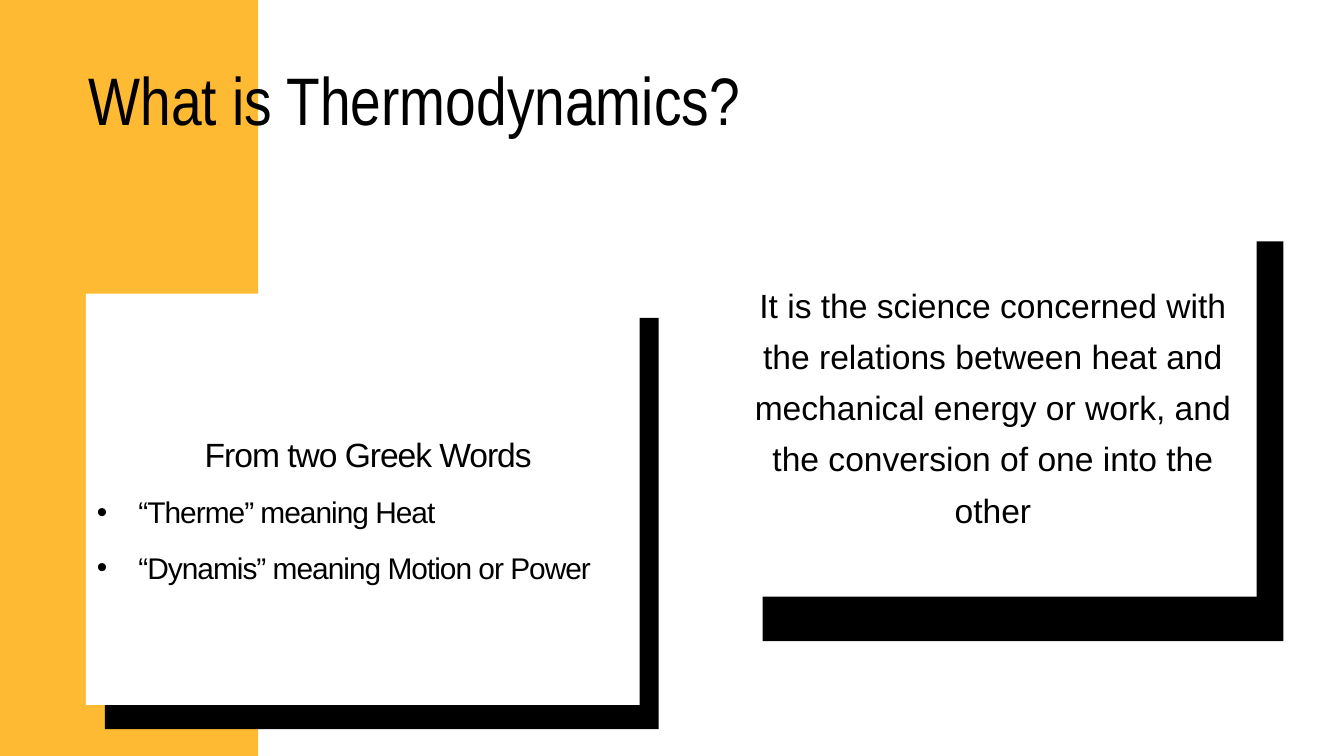
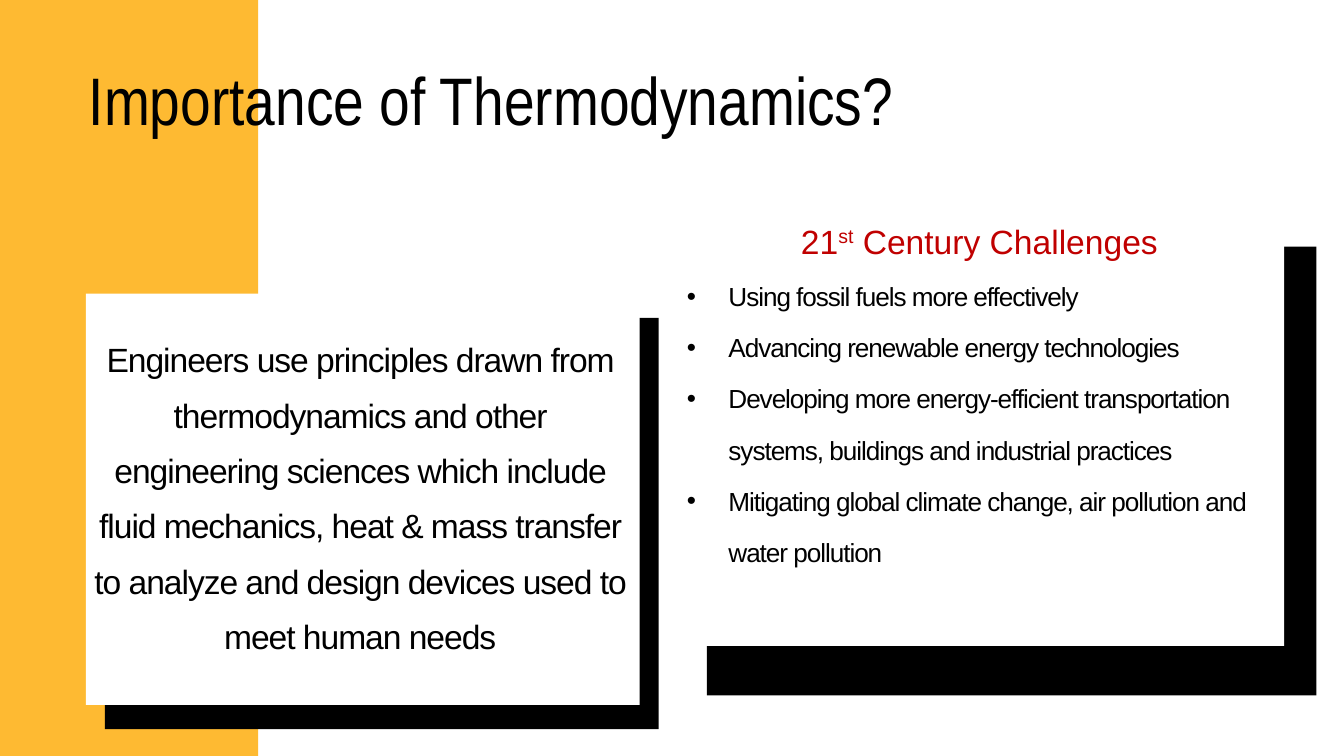
"""Builds two slides on thermodynamics: a title over a yellow band and two framed cards each."""
from lxml import etree
from pptx import Presentation
from pptx import util as u
from pptx.dml.color import RGBColor
from pptx.enum import shapes, text
from pptx.oxml import ns

PX = 9144
YELLOW = RGBColor(0xFE, 0xBA, 0x32)
BLACK = RGBColor(0, 0, 0)
WHITE = RGBColor(255, 255, 255)
RED = RGBColor(0xC0, 0, 0)
TIGHT = -110
INDENT = 62

LEFT_CARD = (128, 437, 824, 612)
LEFT_SHADOW = (28, 36)

SLIDES = [
    ("What is Thermodynamics?", [
        {"card": (1095, 293, 775, 595), "shadow": (40, 66),
         "text_box": (1105, 408, 745, 386), "line_spacing": 54.8,
         "paragraphs": [
             ("It is the science concerned with the relations between heat and mechanical "
              "energy or work, and the conversion of one into the other", 36, BLACK, 0, False)]},
        {"card": LEFT_CARD, "shadow": LEFT_SHADOW,
         "text_box": (144, 623, 808, 248), "line_spacing": 59.4,
         "paragraphs": [
             ("From two Greek Words", 36, BLACK, TIGHT, False),
             ("“Therme” meaning Heat", 32, BLACK, TIGHT, True),
             ("“Dynamis” meaning Motion or Power", 32, BLACK, TIGHT, True)]},
    ]),
    ("Importance of Thermodynamics?", [
        {"card": (1004, 293, 907, 668), "shadow": (48, 74),
         "text_box": (1022, 312, 871, 617), "line_spacing": 54.8,
         "paragraphs": [
             ("21^st^ Century Challenges", 36, RED, 0, False),
             ("Using fossil fuels more effectively", 28, BLACK, TIGHT, True),
             ("Advancing renewable energy technologies", 28, BLACK, TIGHT, True),
             ("Developing more energy-efficient transportation systems, buildings and "
              "industrial practices", 28, BLACK, TIGHT, True),
             ("Mitigating global climate change, air pollution and water pollution",
              28, BLACK, TIGHT, True)]},
        {"card": LEFT_CARD, "shadow": LEFT_SHADOW,
         "text_box": (132, 482, 808, 496), "line_spacing": 59.4,
         "paragraphs": [
             ("Engineers use principles drawn from thermodynamics and other engineering "
              "sciences which include fluid mechanics, heat & mass transfer to analyze and "
              "design devices used to meet human needs", 36, BLACK, TIGHT, False)]},
    ]),
]


def add_block(slide, left, top, width, height, color):
    block = slide.shapes.add_shape(
        shapes.MSO_SHAPE.RECTANGLE, left * PX, top * PX, width * PX, height * PX)
    block.shadow.inherit = False
    block.fill.solid()
    block.fill.fore_color.rgb = color
    block.line.fill.background()
    return block


def prepare_frame(shape):
    frame = shape.text_frame
    frame.margin_left = frame.margin_top = frame.margin_right = frame.margin_bottom = 0
    frame.word_wrap = True
    frame.vertical_anchor = text.MSO_ANCHOR.TOP
    frame.auto_size = text.MSO_AUTO_SIZE.SHAPE_TO_FIT_TEXT
    return frame


presentation = Presentation()
presentation.slide_width = 2000 * PX
presentation.slide_height = 1125 * PX

for heading, cards in SLIDES:
    slide = presentation.slides.add_slide(presentation.slide_layouts[5])
    title = slide.shapes.title
    title.left, title.top, title.width, title.height = (
        length * PX for length in (132, 31, 1658, 156))
    band = add_block(slide, 0, 0, 384, 1125, YELLOW)
    title._element.addprevious(band._element)

    frame = prepare_frame(title)
    frame.text = heading
    paragraph = frame.paragraphs[0]
    paragraph.alignment = text.PP_ALIGN.LEFT
    paragraph.line_spacing = u.Pt(126.3)
    paragraph.font.name = "Arial Narrow"
    paragraph.font.size = u.Pt(72)
    paragraph.font.color.rgb = BLACK

    for card in cards:
        left, top, width, height = card["card"]
        shift_x, shift_y = card["shadow"]
        add_block(slide, left + shift_x, top + shift_y, width, height, BLACK)
        add_block(slide, left, top, width, height, WHITE)

        text_box = slide.shapes.add_textbox(*(length * PX for length in card["text_box"]))
        frame = prepare_frame(text_box)
        for index, (words, size, color, tracking, bulleted) in enumerate(card["paragraphs"]):
            paragraph = frame.add_paragraph() if index else frame.paragraphs[0]
            paragraph.line_spacing = u.Pt(card["line_spacing"])
            properties = paragraph._p.get_or_add_pPr()
            if bulleted:
                paragraph.alignment = text.PP_ALIGN.LEFT
                properties.set("marL", str(INDENT * PX))
                properties.set("indent", str(-INDENT * PX))
                etree.SubElement(properties, ns.qn("a:buFont"), typeface="Arial")
                etree.SubElement(properties, ns.qn("a:buChar"), char="•")
            else:
                paragraph.alignment = text.PP_ALIGN.CENTER
            paragraph.font.name = "Arial"
            paragraph.font.size = u.Pt(size)
            paragraph.font.color.rgb = color
            for position, piece in enumerate(words.split("^")):
                run = paragraph.add_run()
                run.text = piece
                if tracking:
                    run._r.get_or_add_rPr().set("spc", str(tracking))
                if position % 2:
                    run._r.get_or_add_rPr().set("baseline", "30000")

presentation.save("out.pptx")
